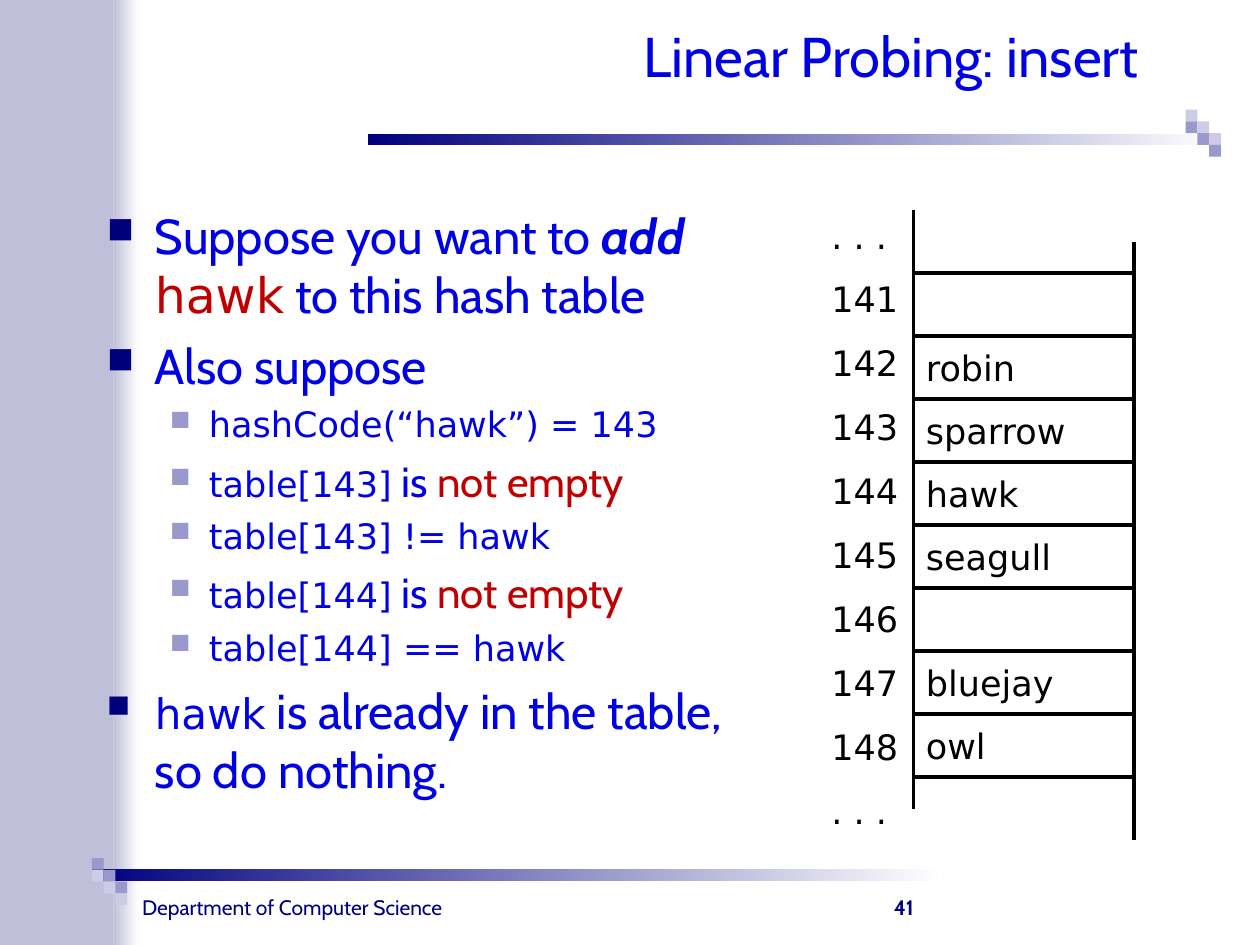
"""Build the linear probing insert slide."""
from dataclasses import dataclass

from lxml.etree import SubElement
from pptx import Presentation
from pptx.dml.color import RGBColor
from pptx.enum.shapes import MSO_CONNECTOR, MSO_SHAPE
from pptx.enum.text import MSO_ANCHOR, PP_ALIGN
from pptx.oxml.ns import qn
from pptx.util import Inches, Pt


@dataclass(frozen=True)
class Theme:
    body_font: str = "Cabin"
    code_font: str = "DejaVu Sans"
    navy: str = "00007D"
    blue: str = "0000E5"
    red: str = "C00000"
    black: str = "000000"
    white: str = "FFFFFF"
    band: str = "BFBFDA"
    mid: str = "9999CC"
    pale: str = "CCCCE6"
    title: int = 32
    body: int = 28
    sub: int = 24
    code: int = 20
    footer: int = 12
    rule: float = 2.25


def rgb(value):
    return RGBColor.from_string(value)


class Builder:
    def __init__(self, slide, theme):
        self.slide = slide
        self.theme = theme

    def shape(self, x, y, w, h, kind=MSO_SHAPE.RECTANGLE):
        sp = self.slide.shapes.add_shape(kind, Inches(x), Inches(y), Inches(w), Inches(h))
        sp.shadow.inherit = False
        return sp

    def block(self, x, y, w, h, color):
        sp = self.shape(x, y, w, h)
        sp.fill.solid()
        sp.fill.fore_color.rgb = rgb(color)
        sp.line.fill.background()

    def fade(self, x, y, w, h, color):
        sp = self.shape(x, y, w, h)
        sp.fill.gradient()
        sp.fill.gradient_angle = 0
        for stop, value in zip(sp.fill.gradient_stops, (color, self.theme.white)):
            stop.color.rgb = rgb(value)
        sp.line.fill.background()

    def stairs(self, x, y, upper, lower):
        step = 0.28 / 3
        for i in range(3):
            for j, color in enumerate((upper, lower)):
                self.block(x + i * step, y + (i + j) * step, step, step, color)

    def run(self, p, text, size, color, font, bold=False, italic=False):
        r = p.add_run()
        r.text = text
        r.font.size = Pt(size)
        r.font.color.rgb = rgb(color)
        r.font.name = font
        r.font.bold = bold
        r.font.italic = italic

    def bullet(self, p, level):
        t = self.theme
        margin, hang, color, percent = ((0.38, 0.38, t.navy, 75), (0.81, 0.31, t.mid, 80))[level]
        p.level = level
        pPr = p._p.get_or_add_pPr()
        pPr.set("marL", str(Inches(margin)))
        pPr.set("indent", str(-Inches(hang)))
        SubElement(SubElement(pPr, qn("a:buClr")), qn("a:srgbClr"), val=color)
        SubElement(pPr, qn("a:buSzPct"), val=str(percent * 1000))
        SubElement(pPr, qn("a:buChar"), char="■")

    def text(self, x, y, w, h, paragraphs, align=PP_ALIGN.LEFT,
             anchor=MSO_ANCHOR.TOP, wrap=True):
        sp = self.slide.shapes.add_textbox(Inches(x), Inches(y), Inches(w), Inches(h))
        tf = sp.text_frame
        tf.word_wrap = wrap
        tf.vertical_anchor = anchor
        for i, (runs, before, level) in enumerate(paragraphs):
            p = tf.paragraphs[0] if i == 0 else tf.add_paragraph()
            p.alignment = align
            if i:
                p.space_before = Pt(before)
            if level is not None:
                self.bullet(p, level)
            for r in runs:
                self.run(p, *r)

    def cell(self, x, y, w, h, label):
        t = self.theme
        sp = self.shape(x, y, w, h, MSO_SHAPE.FLOWCHART_PROCESS)
        sp.fill.background()
        sp.line.color.rgb = rgb(t.black)
        sp.line.width = Pt(t.rule)
        if label:
            tf = sp.text_frame
            tf.word_wrap = False
            tf.vertical_anchor = MSO_ANCHOR.MIDDLE
            tf.margin_left = tf.margin_right = Inches(0.1)
            tf.margin_top = tf.margin_bottom = Inches(0.05)
            p = tf.paragraphs[0]
            p.alignment = PP_ALIGN.LEFT
            self.run(p, label, t.code, t.black, t.code_font)

    def line(self, x1, y1, x2, y2):
        cn = self.slide.shapes.add_connector(
            MSO_CONNECTOR.STRAIGHT, Inches(x1), Inches(y1), Inches(x2), Inches(y2))
        cn.line.color.rgb = rgb(self.theme.black)
        cn.line.width = Pt(self.theme.rule)
        SubElement(cn._element.spPr, qn("a:effectLst"))


def main():
    prs = Presentation()
    prs.slide_width, prs.slide_height = Inches(10), Inches(7.5)
    t = Theme()
    s = Builder(prs.slides.add_slide(prs.slide_layouts[6]), t)

    s.fade(0.9, 0, 0.2, 7.5, t.band)
    s.block(0, 0, 0.9, 7.5, t.band)
    s.fade(0.73, 6.9, 6.76, 0.09, t.navy)
    s.stairs(0.73, 6.81, t.mid, t.pale)
    s.fade(2.92, 1.06, 6.76, 0.09, t.navy)
    s.stairs(9.41, 0.87, t.pale, t.mid)

    footer = ("Department of Computer Science", t.footer, t.navy, t.body_font)
    s.text(0.91, 7.05, 2.82, 0.3, [([footer], 0, None)], PP_ALIGN.CENTER, wrap=False)
    number = ("41", t.footer, t.navy, t.body_font, True)
    s.text(3.45, 6.85, 3.9, 0.5, [([number], 0, None)], PP_ALIGN.RIGHT, MSO_ANCHOR.BOTTOM)
    title = ("Linear Probing: insert", t.title, t.blue, t.body_font)
    s.text(0.08, 0.08, 9.06, 0.67, [([title], 0, None)], PP_ALIGN.RIGHT, MSO_ANCHOR.BOTTOM)

    def body(text, *style):
        return (text, t.body, t.blue, t.body_font, *style)

    def code(text):
        return (text, t.code, t.blue, t.code_font)

    def not_empty(slot):
        return ([code(slot), (" is ", t.sub, t.blue, t.body_font),
                 ("not empty", t.sub, t.red, t.body_font)], 6, 1)

    s.text(0.75, 1.58, 5.25, 5.58, [
        ([body("Suppose you want to "), body("add ", True, True),
          ("hawk", t.body, t.red, t.code_font), body(" to this hash table")], 7, 0),
        ([body("Also suppose")], 7, 0),
        ([code("hashCode(“hawk”) = 143")], 5, 1),
        not_empty("table[143]"),
        ([code("table[143] != hawk")], 5, 1),
        not_empty("table[144]"),
        ([code("table[144] == hawk")], 5, 1),
        ([("hawk", t.sub, t.blue, t.code_font),
          body(" is already in the table, so do nothing.")], 7, 0),
    ])

    left, top, width, height = 7.25, 2.17, 1.75, 0.5
    birds = ("", "robin", "sparrow", "hawk", "seagull", "", "bluejay", "owl")
    for i, bird in enumerate(birds):
        s.cell(left, top + i * height, width, height, bird)
    labels = [". . .", *(str(141 + i) for i in range(len(birds))), ". . ."]
    s.text(6.5, 1.65, 0.75, 5,
           [([(label, t.code, t.black, t.code_font)], 12.5, None) for label in labels])
    s.line(left, 6.42, left, 1.67)
    s.line(left + width, 6.67, left + width, 1.92)

    prs.save("out.pptx")


if __name__ == "__main__":
    main()
